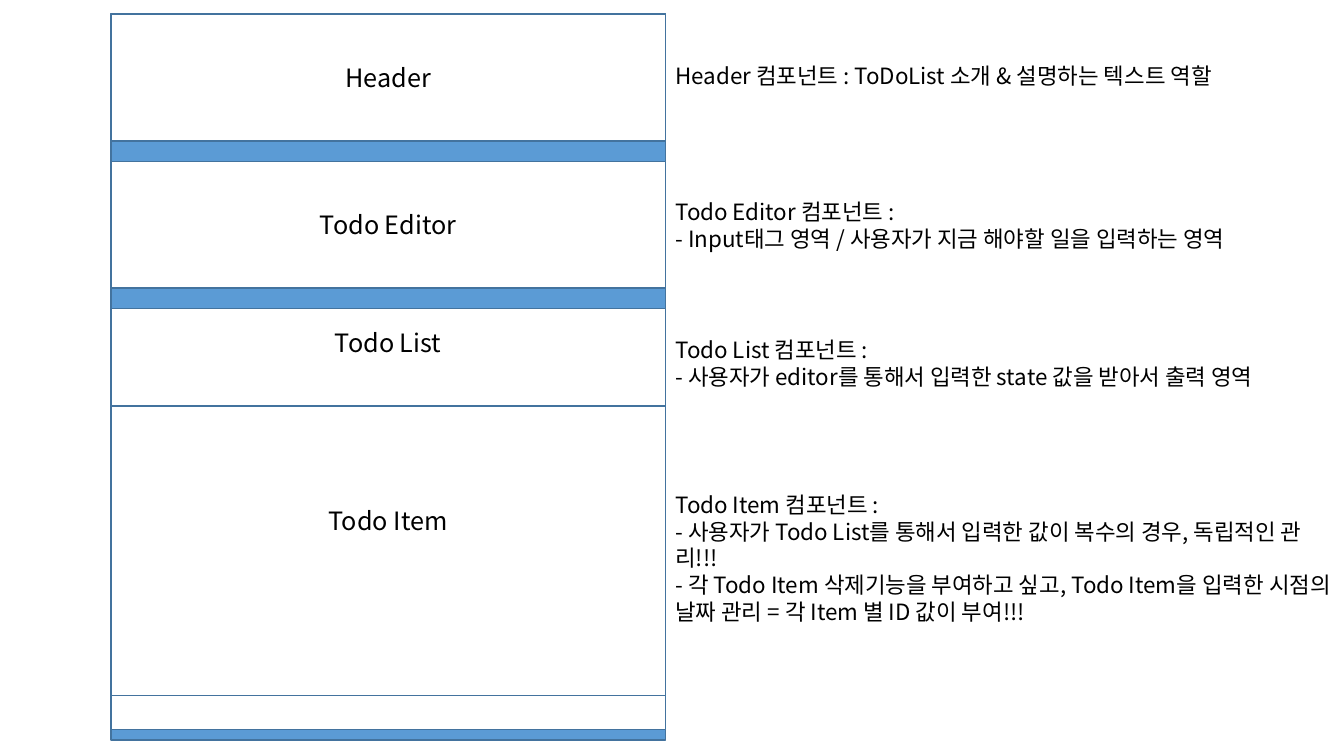
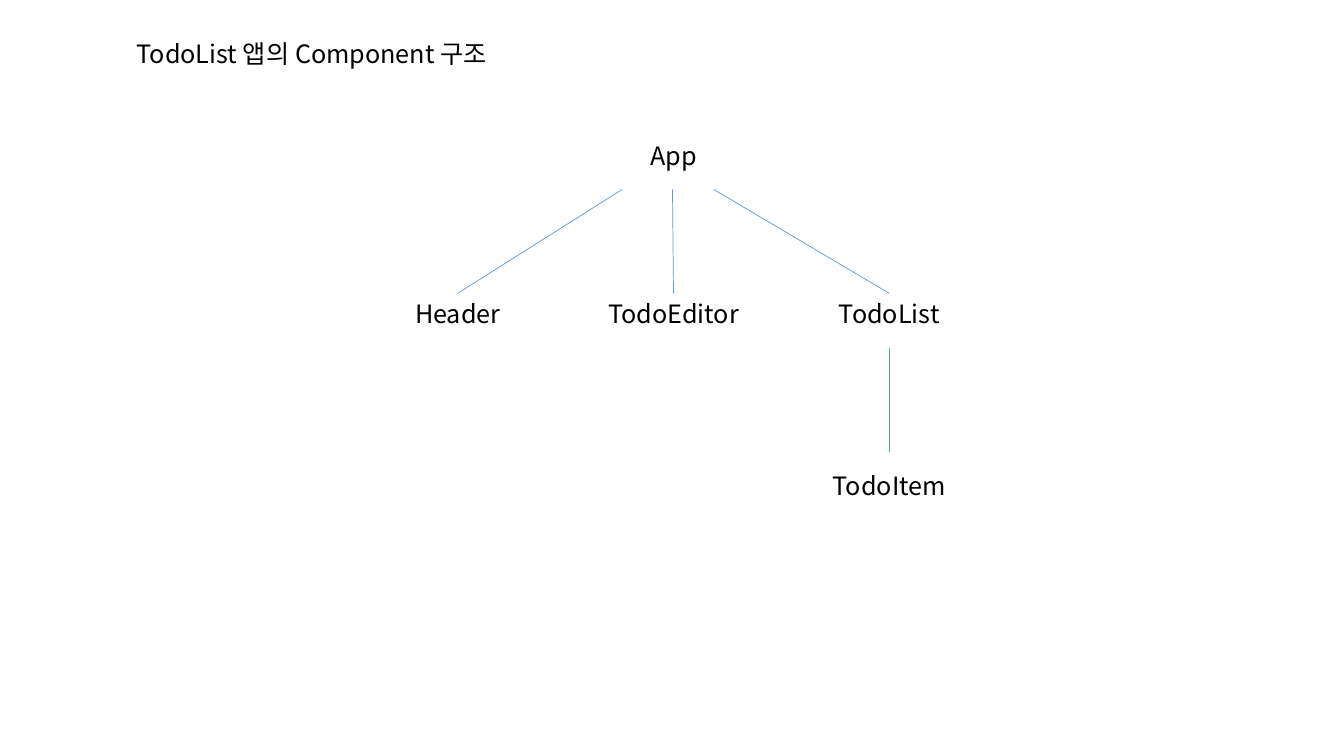
from dataclasses import dataclass

from lxml.etree import SubElement
from pptx import Presentation
from pptx.dml.color import RGBColor
from pptx.enum.shapes import MSO_CONNECTOR, MSO_SHAPE
from pptx.enum.text import MSO_ANCHOR, MSO_AUTO_SIZE, PP_ALIGN
from pptx.oxml.ns import qn
from pptx.util import Inches, Pt


@dataclass(frozen=True)
class Theme:
    """Colours, type and line widths shared by the slides."""
    font: str = "Noto Sans CJK KR"
    text: RGBColor = RGBColor(0, 0, 0)
    panel: RGBColor = RGBColor(0xFF, 0xFF, 0xFF)
    accent: RGBColor = RGBColor(0x5B, 0x9B, 0xD5)
    border: RGBColor = RGBColor(0x43, 0x73, 0x9E)
    label_size: int = 18
    note_size: int = 16
    border_width: float = 1
    branch_width: float = 0.5


THEME = Theme()
SLIDE_W, SLIDE_H = 13.33, 7.5

FRAME_X, FRAME_Y, FRAME_W, FRAME_H = 1.1, 0.14, 5.5, 7.2
PANEL_H, PANEL_PITCH = 1.26, 1.46
NOTE_X = FRAME_X + FRAME_W

NODE_W, NODE_H = 1.62, 0.4
COLUMN_X, COLUMN_PITCH = 3.73, 2.14
ROW_Y = (1.34, 2.91, 4.62)
BRANCH_GAP = 0.14

NOTES = (
    (0.57, ("Header 컴포넌트 : ToDoList 소개 & 설명하는 텍스트 역할",)),
    (1.92, ("Todo Editor 컴포넌트 :",
            "- Input태그 영역 / 사용자가 지금 해야할 일을 입력하는 영역")),
    (3.29, ("Todo List 컴포넌트 :",
            "- 사용자가 editor를 통해서 입력한 state 값을 받아서 출력 영역")),
    (4.82, ("Todo Item 컴포넌트 :",
            "- 사용자가 Todo List를 통해서 입력한 값이 복수의 경우, 독립적인 관리!!!",
            "- 각 Todo Item 삭제기능을 부여하고 싶고, Todo Item을 입력한 시점의 "
            "날짜 관리 = 각 Item 별 ID 값이 부여!!!")),
)


def write(tf, lines, size, align):
    """Write each line as a paragraph with one formatted run."""
    tf.word_wrap = True
    tf.vertical_anchor = MSO_ANCHOR.TOP
    for i, line in enumerate(lines):
        p = tf.add_paragraph() if i else tf.paragraphs[0]
        p.alignment = align
        p.line_spacing = 1.0
        r = p.add_run()
        r.text = line
        r.font.name = THEME.font
        r.font.size = Pt(size)
        r.font.color.rgb = THEME.text
        SubElement(r.font._element, qn("a:ea"), typeface=THEME.font)


def add_text(s, x, y, w, h, lines, size=THEME.label_size, align=PP_ALIGN.CENTER):
    """Add a wrapping text box that grows with its text."""
    sp = s.shapes.add_textbox(Inches(x), Inches(y), Inches(w), Inches(h))
    write(sp.text_frame, lines, size, align)
    sp.text_frame.auto_size = MSO_AUTO_SIZE.SHAPE_TO_FIT_TEXT
    return sp


def add_panel(s, y, h, fill, label=None, inset=0):
    """Add a bordered full-width panel with an optional label below its top."""
    sp = s.shapes.add_shape(MSO_SHAPE.RECTANGLE, Inches(FRAME_X), Inches(y),
                            Inches(FRAME_W), Inches(h))
    sp.shadow.inherit = False
    sp.fill.solid()
    sp.fill.fore_color.rgb = fill
    sp.line.color.rgb = THEME.border
    sp.line.width = Pt(THEME.border_width)
    if label:
        sp.text_frame.margin_top = Inches(inset)
        write(sp.text_frame, [label], THEME.label_size, PP_ALIGN.CENTER)


def add_node(s, column, row, name):
    """Add a tree node at a grid column and row."""
    x = COLUMN_X + column * COLUMN_PITCH
    return add_text(s, x, ROW_Y[row], NODE_W, NODE_H, [name])


def add_branch(s, x1, y1, x2, y2, child=None):
    """Add a thin branch line, joined to the top of a child if given."""
    line = s.shapes.add_connector(MSO_CONNECTOR.STRAIGHT, Inches(x1), Inches(y1),
                                  Inches(x2), Inches(y2))
    line.line.color.rgb = THEME.accent
    line.line.width = Pt(THEME.branch_width)
    SubElement(line._element.spPr, qn("a:effectLst"))
    if child is not None:
        line.end_connect(child, 0)


def add_title(s, text):
    """Place and format the title placeholder."""
    title = s.shapes.title
    title.left, title.top = Inches(SLIDE_W * 0.05), Inches(0.33)
    title.width, title.height = Inches(4.85), Inches(NODE_H)
    write(title.text_frame, [text], THEME.label_size, PP_ALIGN.CENTER)
    title.text_frame.auto_size = MSO_AUTO_SIZE.SHAPE_TO_FIT_TEXT


def build_layout_slide(prs):
    """Build the page sketch with its component notes."""
    s = prs.slides.add_slide(prs.slide_layouts[6])
    add_panel(s, FRAME_Y, FRAME_H, THEME.accent)
    panels = (("Header", PANEL_H, 0.48), ("Todo Editor", PANEL_H, 0.48),
              ("Todo List", 4.18, 0.19))
    for i, (label, h, inset) in enumerate(panels):
        add_panel(s, FRAME_Y + i * PANEL_PITCH, h, THEME.panel, label, inset)
    add_panel(s, 4.03, 2.87, THEME.panel, "Todo Item", 0.98)
    for y, lines in NOTES:
        add_text(s, NOTE_X, y, SLIDE_W - NOTE_X, 0.1 + 0.27 * len(lines), lines,
                 THEME.note_size, PP_ALIGN.LEFT)


def build_tree_slide(prs):
    """Build the component tree."""
    s = prs.slides.add_slide(prs.slide_layouts[5])
    add_title(s, "TodoList 앱의 Component 구조")
    add_node(s, 1, 0, "App")
    start_y = ROW_Y[0] + NODE_H + BRANCH_GAP
    for column, (name, start_x) in enumerate(
            (("Header", 6.17), ("TodoEditor", 6.67), ("TodoList", 7.08))):
        child = add_node(s, column, 1, name)
        center = COLUMN_X + column * COLUMN_PITCH + NODE_W / 2
        add_branch(s, start_x, start_y, center, ROW_Y[1], child)
    add_node(s, 2, 2, "TodoItem")
    add_branch(s, center, ROW_Y[1] + NODE_H + BRANCH_GAP,
               center, ROW_Y[2] - BRANCH_GAP)


def main():
    """Build and save the presentation."""
    prs = Presentation()
    prs.slide_width, prs.slide_height = Inches(SLIDE_W), Inches(SLIDE_H)
    build_layout_slide(prs)
    build_tree_slide(prs)
    prs.save("out.pptx")


if __name__ == "__main__":
    main()
